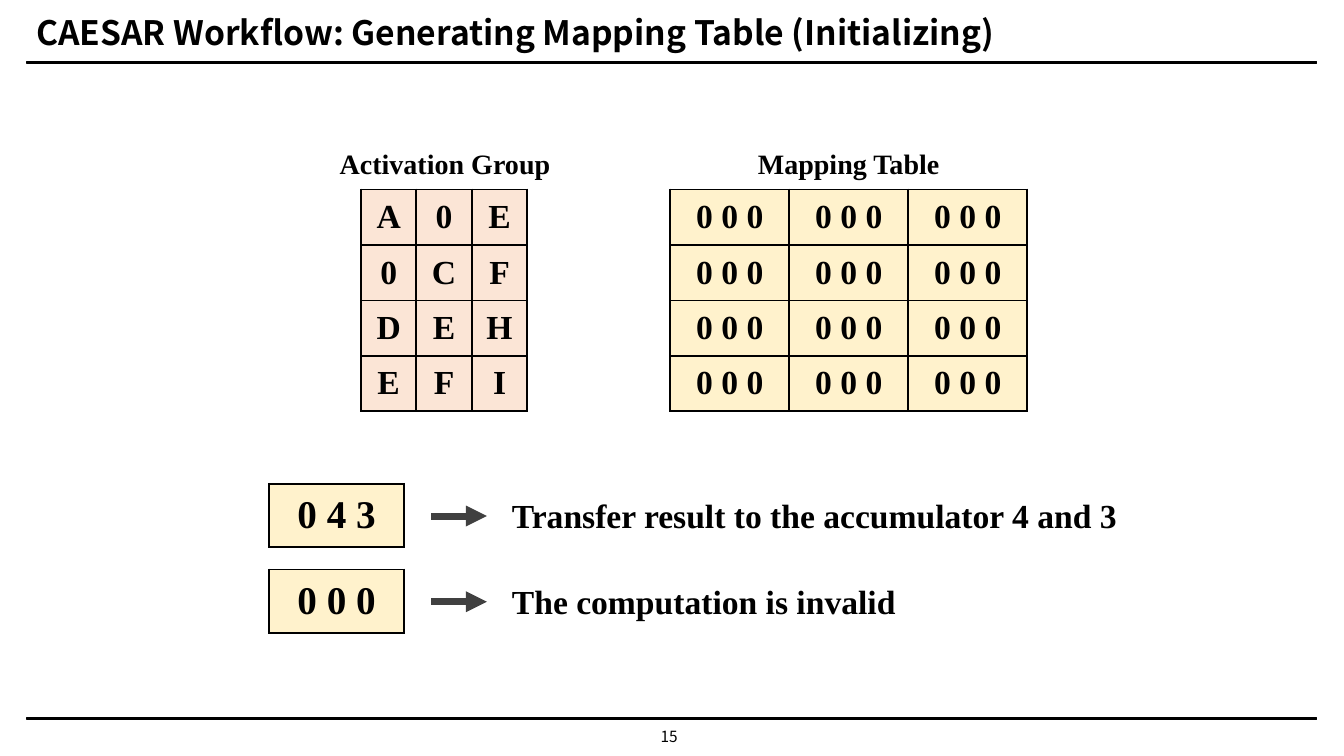
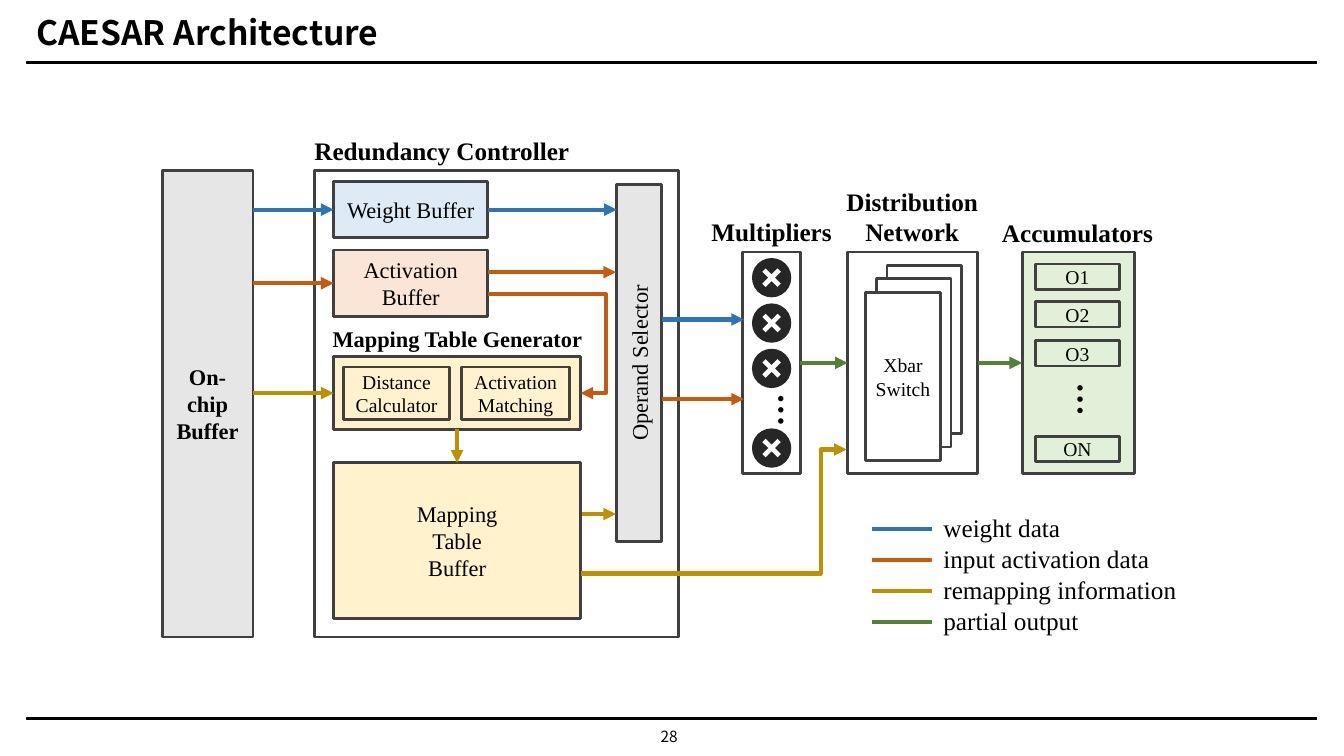
from lxml import etree
from pptx import Presentation
from pptx.dml.color import RGBColor
from pptx.enum import shapes, text
from pptx.oxml import parse_xml
from pptx.oxml.ns import nsdecls, qn
from pptx.util import Pt

COLORS = {
    "black": "000000", "white": "FFFFFF", "dark": "404040", "disc": "262626",
    "gray": "E7E6E6", "peach": "FBE5D6", "cream": "FFF2CC", "sky": "DEEBF7", "mint": "E2F0D9",
    "weight": "2E75B6", "activation": "C55A11", "remapping": "BF9000", "output": "548235",
}
SANS, SERIF = "Noto Sans CJK KR", "Times New Roman"
LEFT, CENTER = text.PP_ALIGN.LEFT, text.PP_ALIGN.CENTER
TOP, MIDDLE, BOTTOM = text.MSO_ANCHOR.TOP, text.MSO_ANCHOR.MIDDLE, text.MSO_ANCHOR.BOTTOM
SHAPE, CONNECTOR = shapes.MSO_SHAPE, shapes.MSO_CONNECTOR


def write(frame, words, size=16, bold=False, font=SERIF, align=CENTER, anchor=MIDDLE,
          margin=None, wrap=True, spacing=None):
    frame.text = words
    frame.word_wrap = wrap
    frame.vertical_anchor = anchor
    if margin is not None:
        frame.margin_left = frame.margin_right = Pt(margin)
        frame.margin_top = frame.margin_bottom = Pt(margin)
    for paragraph in frame.paragraphs:
        paragraph.alignment = align
        if spacing:
            paragraph.line_spacing = spacing
        for run in paragraph.runs:
            run.font.name = font
            run.font.size = Pt(size)
            run.font.bold = bold
            run.font.color.rgb = RGBColor.from_string(COLORS["black"])


def draw(slide, kind, left, top, width, height, fill, line="dark", weight=2):
    shape = slide.shapes.add_shape(kind, Pt(left), Pt(top), Pt(width), Pt(height))
    shape.shadow.inherit = False
    shape.fill.solid()
    shape.fill.fore_color.rgb = RGBColor.from_string(COLORS[fill])
    if line:
        shape.line.color.rgb = RGBColor.from_string(COLORS[line])
        shape.line.width = Pt(weight)
    else:
        shape.line.fill.background()
    return shape


presentation = Presentation()
presentation.slide_width, presentation.slide_height = Pt(960), Pt(540)
layout = presentation.slide_layouts[5]
layout_title = layout.placeholders[0]
layout_title.left, layout_title.top = Pt(18.7), Pt(4.3)
layout_title.width, layout_title.height = Pt(920.2), Pt(36.7)

slides = []
for title, number in [
    ("CAESAR Workflow: Generating Mapping Table (Initializing)", "15"),
    ("CAESAR Architecture", "28"),
]:
    slide = presentation.slides.add_slide(layout)
    write(slide.shapes.title.text_frame, title, size=24, bold=True, font=SANS,
          align=LEFT, anchor=BOTTOM, spacing=0.9)
    page = slide.shapes.add_textbox(Pt(461.5), Pt(516.2), Pt(33), Pt(20))
    write(page.text_frame, number, size=11, font=SANS, anchor=TOP)
    slides.append(slide)
workflow, architecture = slides

for index, top in enumerate([43.9, 512.6]):
    rule = draw(workflow, SHAPE.RECTANGLE, 19.4, top, 920.9, 1.4, "black", "black", 1)
    rule.element.nvSpPr.cNvPr.set("id", str(20 + index))
    layout.shapes.element.append(rule.element)

connectors = []

for rows, left, top, column_width, row_height, fill, size, margin in [
    (["A0E", "0CF", "DEH", "EFI"], 257.8, 135.4, 39.6, 39.6, "peach", 24, 3.6),
    ([["0 0 0"] * 3] * 4, 478.8, 135.4, 85, 39.6, "cream", 24, 0),
    ([["0 4 3"]], 192.2, 345.6, 96.5, 45.4, "cream", 28, 3.6),
    ([["0 0 0"]], 192.2, 406.8, 96.5, 45.4, "cream", 28, 3.6),
]:
    count = len(rows[0])
    table = workflow.shapes.add_table(
        len(rows), count, Pt(left), Pt(top),
        Pt(column_width * count), Pt(row_height * len(rows))).table
    table.first_row = table.horz_banding = False
    for column in table.columns:
        column.width = Pt(column_width)
    for row, values in zip(table.rows, rows):
        row.height = Pt(row_height)
        for cell, value in zip(row.cells, values):
            write(cell.text_frame, value, size=size, bold=True)
            cell.vertical_anchor = MIDDLE
            cell.margin_left = cell.margin_right = Pt(margin)
            cell.margin_top = cell.margin_bottom = Pt(margin)
            cell.fill.solid()
            cell.fill.fore_color.rgb = RGBColor.from_string(COLORS[fill])
            properties = cell._tc.get_or_add_tcPr()
            for position, side in enumerate("LRTB"):
                properties.insert(position, parse_xml(
                    f'<a:ln{side} {nsdecls("a")} w="{Pt(1.5)}"><a:solidFill>'
                    f'<a:srgbClr val="{COLORS["black"]}"/></a:solidFill></a:ln{side}>'))

for words, left, top, width, height, size, align in [
    ("Activation Group", 234.7, 100.8, 166.3, 31.7, 20, CENTER),
    ("Mapping Table", 533.5, 100.8, 145.4, 31.7, 20, CENTER),
    ("Transfer result to the accumulator 4 and 3", 358.6, 349.9, 450.7, 36, 24, LEFT),
    ("The computation is invalid", 358.6, 411.1, 290.9, 36, 24, LEFT),
]:
    label = workflow.shapes.add_textbox(Pt(left), Pt(top), Pt(width), Pt(height))
    write(label.text_frame, words, size=size, bold=True, align=align, anchor=TOP, wrap=False)

for y in (368.6, 429.8):
    connectors.append((workflow, (308.2, y), (347.8, y), "dark", 5, True, None, None, None))

boxes = {}
for name, words, left, top, width, height, fill, size, bold in [
    ("controller", "", 224.6, 121.7, 260, 333.4, "white", 16, False),
    ("on-chip", "On-chip\nBuffer", 115.9, 121.7, 64.8, 333.4, "gray", 16, True),
    ("weight", "Weight Buffer", 238.3, 129.6, 110.2, 40.3, "sky", 16, False),
    ("activation", "Activation\nBuffer", 238.3, 178.6, 110.2, 47.5, "peach", 16, False),
    ("generator", "", 238.3, 254.9, 176.4, 51.8, "cream", 16, False),
    ("distance", "Distance\nCalculator", 245.5, 262.1, 75.6, 37.4, "cream", 14, False),
    ("matching", "Activation\nMatching", 329.8, 262.1, 77, 37.4, "cream", 14, False),
    ("mapping", "Mapping\nTable\nBuffer", 238.3, 330.5, 176.4, 111.6, "cream", 16, False),
    ("selector", "Operand Selector", 329, 243.4, 254.9, 31.7, "gray", 16, False),
    ("multipliers", "", 530.6, 180, 41, 158.4, "white", 16, False),
    ("network", "", 605.5, 180, 92.9, 158.4, "white", 16, False),
    ("accumulators", "", 730.1, 180, 80.6, 158.4, "mint", 16, False),
]:
    boxes[name] = draw(architecture, SHAPE.RECTANGLE, left, top, width, height, fill)
    if words:
        write(boxes[name].text_frame, words, size=size, bold=bold)
boxes["selector"].rotation = 270

for top in (184.3, 216.7, 249.1, 306):
    draw(architecture, SHAPE.OVAL, 537.1, top, 28.1, 28.1, "disc", None)
    cross = draw(architecture, SHAPE.MATH_MULTIPLY, 540.7, top + 3.6, 20.9, 20.9, "white", None)
    cross.adjustments[0] = 0.16

for layer in range(3):
    switch = draw(architecture, SHAPE.RECTANGLE, 633.6 - 7.6 * layer, 189.4 + 9.7 * layer,
                  53.3, 120.2, "white")
write(switch.text_frame, "Xbar\nSwitch", size=14, margin=0)

for words, top in [("O1", 188.6), ("O2", 215.6), ("O3", 243.4), ("ON", 311.8)]:
    output = draw(architecture, SHAPE.RECTANGLE, 739.4, top, 60.5, 18, "mint")
    write(output.text_frame, words, size=14)

for words, left, top, width, height, size, align in [
    ("Redundancy Controller", 224.6, 96.5, 218.2, 21.6, 18, LEFT),
    ("Mapping Table Generator", 237.6, 232.6, 180.7, 19.4, 16, LEFT),
    ("Multipliers", 504, 154.8, 94.3, 21.6, 18, CENTER),
    ("Distribution\nNetwork", 597.6, 133.2, 108, 43.9, 18, CENTER),
    ("Accumulators", 709.9, 155.5, 119.5, 21.6, 18, CENTER),
]:
    heading = architecture.shapes.add_textbox(Pt(left), Pt(top), Pt(width), Pt(height))
    write(heading.text_frame, words, size=size, bold=True, align=align, anchor=TOP, margin=0)

for left, top, width, height, rotation, font, align, margin in [
    (540.7, 274.3, 36, 36, 90, SANS, LEFT, None),
    (745.9, 271.4, 35.3, 28.8, 270, SERIF, CENTER, 0),
]:
    dots = architecture.shapes.add_textbox(Pt(left), Pt(top), Pt(width), Pt(height))
    dots.rotation = rotation
    write(dots.text_frame, "…", size=24, bold=True, font=font, align=align, anchor=TOP,
          margin=margin, wrap=margin is not None)

for index, (color, words) in enumerate([
    ("weight", "weight data"),
    ("activation", "input activation data"),
    ("remapping", "remapping information"),
    ("output", "partial output"),
]):
    y = 378 + 22.1 * index
    connectors.append((architecture, (622.8, y), (666, y), color, 3, False, None, None, None))
    entry = architecture.shapes.add_textbox(Pt(673.9), Pt(y - 12.2), Pt(175), Pt(21.6))
    write(entry.text_frame, words, size=18, align=LEFT, anchor=TOP, margin=0)

for start, end, color, source, target, bend in [
    ((180.7, 149.75), (238.3, 149.75), "weight", None, ("weight", 1), None),
    ((180.7, 202.35), (238.3, 202.35), "activation", None, ("activation", 1), None),
    ((180.7, 280.8), (238.3, 280.8), "remapping", None, ("generator", 1), None),
    ((348.5, 149.75), (440.6, 149.75), "weight", ("weight", 3), None, None),
    ((348.5, 194.4), (440, 194.4), "activation", None, None, None),
    ((348.5, 210.2), (414.7, 280.8), "activation", None, None, 1.275),
    ((326.5, 306.7), (326.5, 330.5), "remapping", ("generator", 2), ("mapping", 0), None),
    ((415.4, 367.2), (440, 367.2), "remapping", None, None, None),
    ((415.4, 409.7), (604.8, 321.1), "remapping", None, None, 0.902),
    ((473, 228.2), (531.4, 228.2), "weight", None, None, None),
    ((473, 285.1), (531.4, 285.1), "activation", None, None, None),
    ((571.6, 259.2), (605.5, 259.2), "output", ("multipliers", 3), ("network", 1), None),
    ((698.4, 259.2), (730.1, 259.2), "output", ("network", 3), ("accumulators", 1), None),
]:
    connectors.append((architecture, start, end, color, 3, True, source, target, bend))

for slide, start, end, color, weight, arrow, source, target, bend in connectors:
    kind = CONNECTOR.ELBOW if bend else CONNECTOR.STRAIGHT
    connector = slide.shapes.add_connector(kind, *map(Pt, start + end))
    connector.line.color.rgb = RGBColor.from_string(COLORS[color])
    connector.line.width = Pt(weight)
    properties = connector.element.spPr
    if arrow:
        etree.SubElement(properties.find(qn("a:ln")), qn("a:tailEnd"), type="triangle")
    etree.SubElement(properties, qn("a:effectLst"))
    if bend:
        etree.SubElement(properties.find(qn("a:prstGeom")).find(qn("a:avLst")), qn("a:gd"),
                         name="adj1", fmla=f"val {round(bend * 100000)}")
    if source:
        connector.begin_connect(boxes[source[0]], source[1])
    if target:
        connector.end_connect(boxes[target[0]], target[1])

presentation.save("out.pptx")
